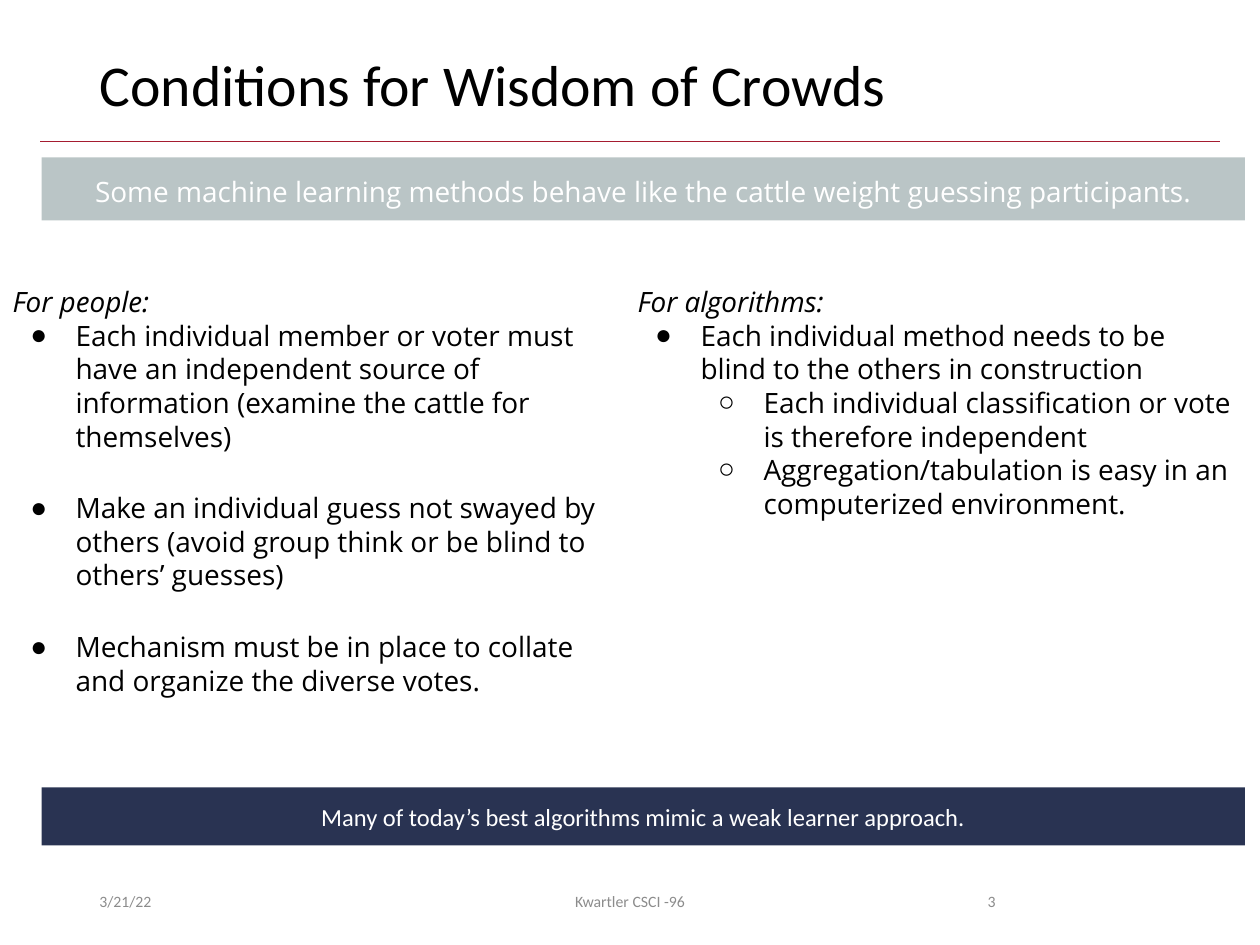
from lxml.etree import SubElement
from pptx import Presentation
from pptx.dml.color import RGBColor
from pptx.enum.shapes import MSO_CONNECTOR, MSO_SHAPE
from pptx.enum.text import MSO_ANCHOR, MSO_AUTO_SIZE, PP_ALIGN
from pptx.oxml.ns import qn
from pptx.util import Inches, Pt

BLACK = RGBColor(0x00, 0x00, 0x00)
WHITE = RGBColor(0xFF, 0xFF, 0xFF)
GRAY = RGBColor(0x8C, 0x8C, 0x8C)
CRIMSON = RGBColor(0xA5, 0x1C, 0x30)
SILVER = RGBColor(0xBA, 0xC5, 0xC6)
NAVY = RGBColor(0x29, 0x33, 0x52)
BULLETS = ("●", "○")
BLANK_LINE = 21.8

PEOPLE = [
    "Each individual member or voter must have an independent source of "
    "information (examine the cattle for themselves)",
    "Make an individual guess not swayed by others (avoid group think or be "
    "blind to others’ guesses)",
    "Mechanism must be in place to collate and organize the diverse votes.",
]
ALGORITHMS = [
    "Each individual method needs to be blind to the others in construction",
    "Each individual classification or vote is therefore independent",
    "Aggregation/tabulation is easy in an computerized environment.",
]


def place(shape, box):
    shape.left, shape.top, shape.width, shape.height = (Inches(v) for v in box)


def write(p, text, size=16, font="Open Sans", color=BLACK, italic=False,
          align=PP_ALIGN.LEFT, spacing=1.0, before=0):
    p.alignment, p.line_spacing = align, spacing
    p.space_before, p.space_after = Pt(before), Pt(0)
    r = p.add_run()
    r.text = text
    r.font.size, r.font.name, r.font.italic = Pt(size), font, italic
    r.font.color.rgb = color


def set_bullet(p, level=None):
    """Indent the paragraph as a list item, or clear its bullet without a level."""
    pPr = p._p.get_or_add_pPr()
    if level is None:
        pPr.set("marL", "0")
        pPr.set("indent", "0")
        SubElement(pPr, qn("a:buNone"))
        return
    p.level = level
    pPr.set("marL", str(Inches(0.5 * (level + 1))))
    pPr.set("indent", str(Inches(-0.36)))
    SubElement(pPr, qn("a:buChar"), char=BULLETS[level])


def setup_frame(shape, anchor=MSO_ANCHOR.TOP, inset=0.05):
    tf = shape.text_frame
    tf.word_wrap, tf.auto_size = True, MSO_AUTO_SIZE.NONE
    tf.vertical_anchor = anchor
    tf.margin_left = tf.margin_right = Inches(0.1)
    tf.margin_top = tf.margin_bottom = Inches(inset)
    return tf


def add_header(s, box):
    place(s.shapes.title, box)
    tf = setup_frame(s.shapes.title)
    write(tf.paragraphs[0], "Conditions for Wisdom of Crowds",
          size=33, font="Calibri", spacing=0.9)
    y = Inches(1.12)
    rule = s.shapes.add_connector(MSO_CONNECTOR.STRAIGHT,
                                  Inches(0.32), y, Inches(9.68), y)
    rule.line.color.rgb, rule.line.width = CRIMSON, Pt(0.5)
    SubElement(rule._element.spPr, qn("a:effectLst"))


def add_banner(s, box, text, fill, inset=0.05, **fmt):
    banner = s.shapes.add_shape(MSO_SHAPE.RECTANGLE, *(Inches(v) for v in box))
    banner.shadow.inherit = False
    banner.fill.solid()
    banner.fill.fore_color.rgb = fill
    banner.line.fill.background()
    tf = setup_frame(banner, MSO_ANCHOR.MIDDLE, inset)
    write(tf.paragraphs[0], text, color=WHITE, align=PP_ALIGN.CENTER, **fmt)


def fill_column(body, box, heading, items, levels, gap=0):
    place(body, box)
    tf = setup_frame(body, inset=0.1)
    p = tf.paragraphs[0]
    set_bullet(p)
    write(p, heading, italic=True)
    for i, (text, level) in enumerate(zip(items, levels)):
        p = tf.add_paragraph()
        set_bullet(p, level)
        write(p, text, before=gap if i else 0)


def add_footer(s, top, height):
    parts = [
        (0.69, 2.25, "3/21/22", PP_ALIGN.LEFT),
        (3.31, 3.38, "Kwartler CSCI -96", PP_ALIGN.CENTER),
        (7.06, 0.94, "3", PP_ALIGN.RIGHT),
    ]
    for left, width, text, align in parts:
        box = (left, top, width, height)
        tb = s.shapes.add_textbox(*(Inches(v) for v in box))
        tf = setup_frame(tb, MSO_ANCHOR.MIDDLE)
        write(tf.paragraphs[0], text, size=9, font="Calibri", color=GRAY,
              align=align)


def main():
    prs = Presentation()
    prs.slide_width, prs.slide_height = Inches(10), Inches(7.5)
    s = prs.slides.add_slide(prs.slide_layouts[3])
    add_header(s, (0.69, 0.4, 8.62, 0.65))
    add_banner(s, (0.33, 1.25, 9.55, 0.5),
               "Some machine learning methods behave like the cattle weight "
               "guessing participants.", SILVER, inset=0.1, spacing=1.15)
    add_banner(s, (0.33, 6.25, 9.55, 0.46),
               "Many of today’s best algorithms mimic a weak learner approach.",
               NAVY, size=14, font="Calibri")
    width = 4.96
    fill_column(s.placeholders[1], (0, 2.16, width, 3.37),
                "For people:", PEOPLE, (0, 0, 0), gap=BLANK_LINE)
    fill_column(s.placeholders[2], (width, 2.16, width, 3.37),
                "For algorithms:", ALGORITHMS, (0, 1, 1))
    add_footer(s, 6.95, 0.4)
    prs.save("out.pptx")


if __name__ == "__main__":
    main()
